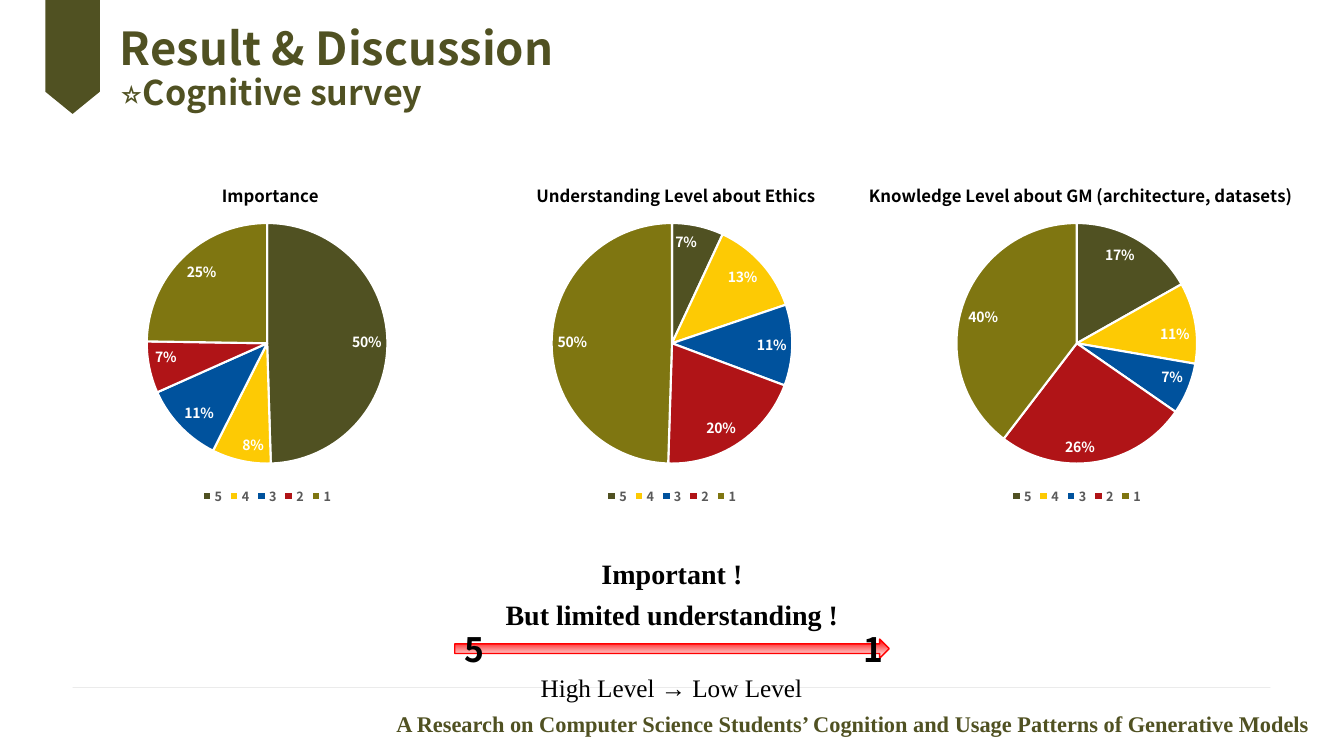
from lxml import etree
from pptx import Presentation
from pptx.chart.data import CategoryChartData
from pptx.dml.color import RGBColor
from pptx.enum.chart import XL_CHART_TYPE as ChartType
from pptx.enum.chart import XL_LABEL_POSITION as LabelPos
from pptx.enum.chart import XL_LEGEND_POSITION as LegendPos
from pptx.enum.shapes import MSO_CONNECTOR as Connector
from pptx.enum.shapes import MSO_SHAPE as Shape
from pptx.enum.text import MSO_ANCHOR as Anchor
from pptx.enum.text import MSO_AUTO_SIZE as AutoSize
from pptx.enum.text import PP_ALIGN as Align
from pptx.oxml import parse_xml
from pptx.oxml.ns import nsdecls, qn
from pptx.util import Inches, Pt

HEADING = ["Result & Discussion", "⭐Cognitive survey"]
LEVELS = ["5", "4", "3", "2", "1"]
# survey question, answers per level, left edge of the title as a share of the chart
SURVEYS = [
    ("Importance", [50, 8, 11, 7, 25], 0.42),
    ("Understanding Level about Ethics", [7, 13, 11, 20, 50], 0.27),
    ("Knowledge Level about GM (architecture, datasets)", [17, 11, 7, 26, 40], 0.15),
]
FINDINGS = ["Important !", "But limited understanding !"]
SCALE_ENDS = ["5", "1"]
SCALE_NOTE = "High Level → Low Level"
FOOTER = "A Research on Computer Science Students’ Cognition and Usage Patterns of Generative Models"

COLORS = {
    "olive": "505122", "yellow": "FDCA04", "blue": "00529D", "crimson": "B01417",
    "moss": "7F7611", "black": "000000", "white": "FFFFFF", "gray": "595959",
    "rule": "BFBFBF", "red": "FF0000",
}
SLICES = ["olive", "yellow", "blue", "crimson", "moss"]
SANS, SERIF = "Noto Sans CJK SC", "Times New Roman"

CHART_LEFT, CHART_TOP, CHART_W, CHART_H = -0.34, 1.59, 5.98, 3.46
CHART_STEP = 4.015
SCALE_LEFT, SCALE_W, END_W = 4.51, 4.31, 0.35

prs = Presentation()
prs.slide_width, prs.slide_height = Inches(13.33), Inches(7.5)
slide = prs.slides.add_slide(prs.slide_layouts[5])
shapes = slide.shapes


def rgb(name):
    return RGBColor.from_string(COLORS[name])


def style(font, size, color="black", bold=True, face=SANS):
    font.size, font.bold, font.name = Pt(size), bold, face
    font.color.rgb = rgb(color)


def write(frame, lines, sizes, align=Align.LEFT, spacing=1.0, broken=False, **look):
    """Fill a frame; broken keeps the lines in one paragraph with line breaks."""
    frame.word_wrap = True
    paragraph = frame.paragraphs[0]
    for i, (line, size) in enumerate(zip(lines, sizes)):
        if i and broken:
            paragraph.add_line_break()
        elif i:
            paragraph = frame.add_paragraph()
        paragraph.alignment, paragraph.line_spacing = align, spacing
        run = paragraph.add_run()
        run.text = line
        style(run.font, size, **look)
        east_asian = etree.SubElement(run.font._element, qn("a:ea"))
        east_asian.set("typeface", run.font.name)


def add_text(box, lines, size, **look):
    frame = shapes.add_textbox(*map(Inches, box)).text_frame
    frame.auto_size = AutoSize.SHAPE_TO_FIT_TEXT
    write(frame, lines, [size] * len(lines), **look)


def manual_layout(x, y, w=None, h=None):
    """Chart layout in shares of the chart's size."""
    target = '<c:layoutTarget val="inner"/>' if w else ""
    extent = f'<c:w val="{w}"/><c:h val="{h}"/>' if w else ""
    return parse_xml(
        f'<c:layout {nsdecls("c")}><c:manualLayout>{target}'
        f'<c:xMode val="edge"/><c:yMode val="edge"/>'
        f'<c:x val="{x}"/><c:y val="{y}"/>{extent}</c:manualLayout></c:layout>')


def set_layout(parent, layout, index):
    for old in parent.findall(qn("c:layout")):
        parent.remove(old)
    parent.insert(index, layout)


def add_pie(left, question, answers, title_x):
    data = CategoryChartData()
    data.categories = LEVELS
    data.add_series("Series 1", answers)
    box = map(Inches, (left, CHART_TOP, CHART_W, CHART_H))
    chart = shapes.add_chart(ChartType.PIE, *box, data).chart
    style(chart.font, 10, bold=False)

    chart.has_title = True
    write(chart.chart_title.text_frame, [question], [12], align=Align.CENTER)
    chart.chart_title.include_in_layout = False
    set_layout(chart.chart_title._element, manual_layout(title_x, 0.05), 1)

    chart.has_legend = True
    chart.legend.position = LegendPos.BOTTOM
    chart.legend.include_in_layout = False
    style(chart.legend.font, 9, "gray")

    plot = chart.plots[0]
    plot.vary_by_categories = True
    set_layout(plot._element.getparent(), manual_layout(0.3, 0.18, 0.4, 0.69), 0)
    for i, color in enumerate(SLICES):
        part = plot.series[0].points[i].format
        part.fill.solid()
        part.fill.fore_color.rgb = rgb(color)
        part.line.color.rgb = rgb("white")
        part.line.width = Pt(1.5)
    labels = plot.series[0].data_labels
    labels.show_percentage, labels.show_value = True, False
    labels.number_format, labels.number_format_is_linked = "0%", False
    labels.position = LabelPos.INSIDE_END
    style(labels.font, 10, "white")


# Frame of the slide: rule, ribbon, footer and title
rule = shapes.add_connector(Connector.STRAIGHT, *map(Inches, (0.72, 6.82, 12.6, 6.82)))
rule.line.color.rgb = rgb("rule")
rule.line.width = Pt(0.25)
rule_color = rule.line._ln.find(".//" + qn("a:srgbClr"))
etree.SubElement(rule_color, qn("a:alpha")).set("val", "47000")
etree.SubElement(rule._element.spPr, qn("a:effectLst"))

ribbon_pen = shapes.build_freeform(Inches(0.45), Inches(-0.11))
ribbon_pen.add_line_segments(
    [(Inches(x), Inches(y)) for x, y in [(0.99, -0.11), (0.99, 0.91), (0.72, 1.13), (0.45, 0.91)]])
ribbon = ribbon_pen.convert_to_shape()
ribbon.shadow.inherit = False
ribbon.fill.solid()
ribbon.fill.fore_color.rgb = rgb("olive")
ribbon.line.fill.background()

add_text((3.24, 7, 9.84, 0.37), [FOOTER], 16, align=Align.RIGHT, color="olive", face=SERIF)

title = shapes.title
title.left, title.top, title.width, title.height = map(Inches, (1.19, 0.26, 8.93, 0.86))
heading = title.text_frame
heading.margin_left = heading.margin_right = heading.margin_top = heading.margin_bottom = 0
heading.vertical_anchor = Anchor.MIDDLE
heading.auto_size = AutoSize.NONE
write(heading, HEADING, [32.4, 24.3], spacing=0.9, broken=True, color="olive")

# Survey results
for column, survey in enumerate(SURVEYS):
    add_pie(CHART_LEFT + column * CHART_STEP, *survey)

add_text((3.08, 5.41, 7.17, 0.91), FINDINGS, 20, align=Align.CENTER, spacing=1.2, face=SERIF)

# Scale from high to low level
arrow = shapes.add_shape(Shape.RIGHT_ARROW, *map(Inches, (SCALE_LEFT, 6.34, SCALE_W, 0.19)))
arrow.shadow.inherit = False
arrow.fill.gradient()
arrow.fill.gradient_angle = 270
for stop, color, place in zip(arrow.fill.gradient_stops, ("red", "white"), (0, 1)):
    stop.color.rgb = rgb(color)
    stop.position = place
arrow.line.color.rgb = rgb("red")
arrow.line.width = Pt(1)

for i, level in enumerate(SCALE_ENDS):
    add_text((SCALE_LEFT + i * (SCALE_W - END_W), 6.19, END_W, 0.5), [level], 24)
add_text((4.44, 6.62, 4.44, 0.4), [SCALE_NOTE], 18, align=Align.CENTER, bold=False, face=SERIF)

prs.save("out.pptx")
